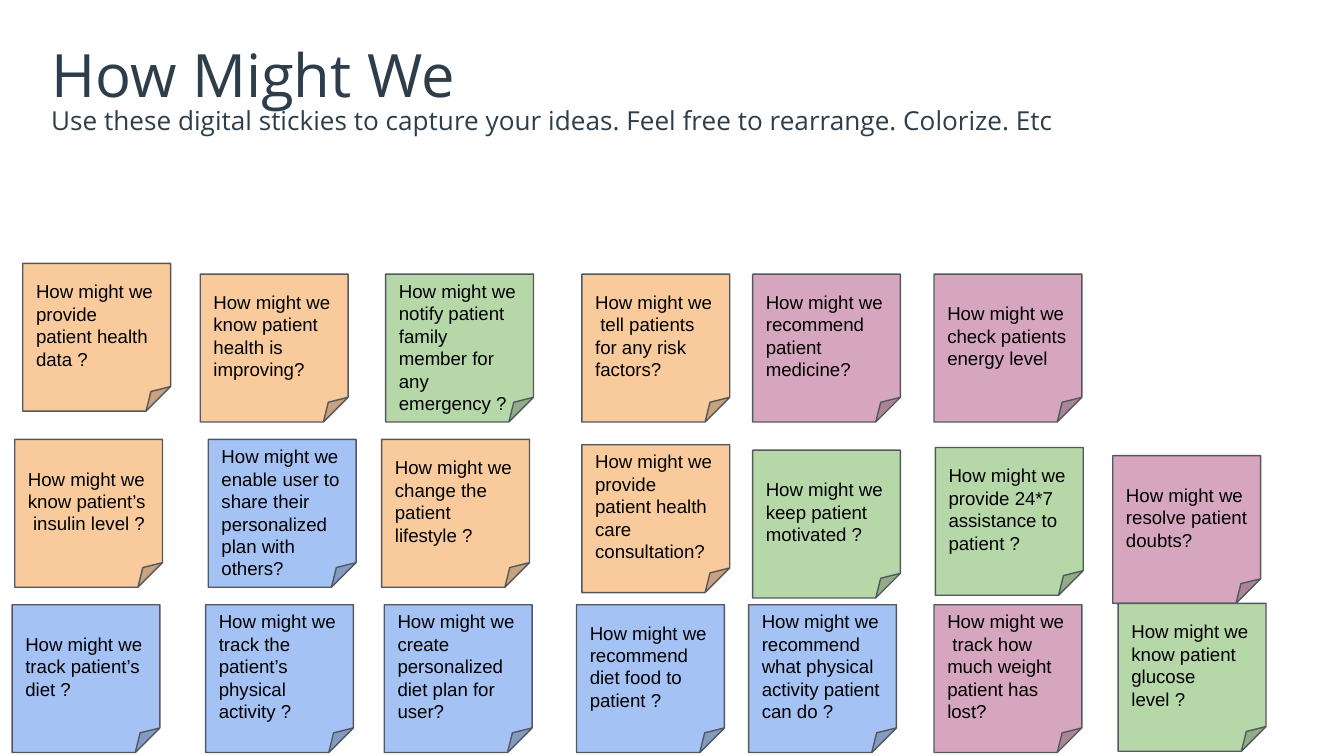
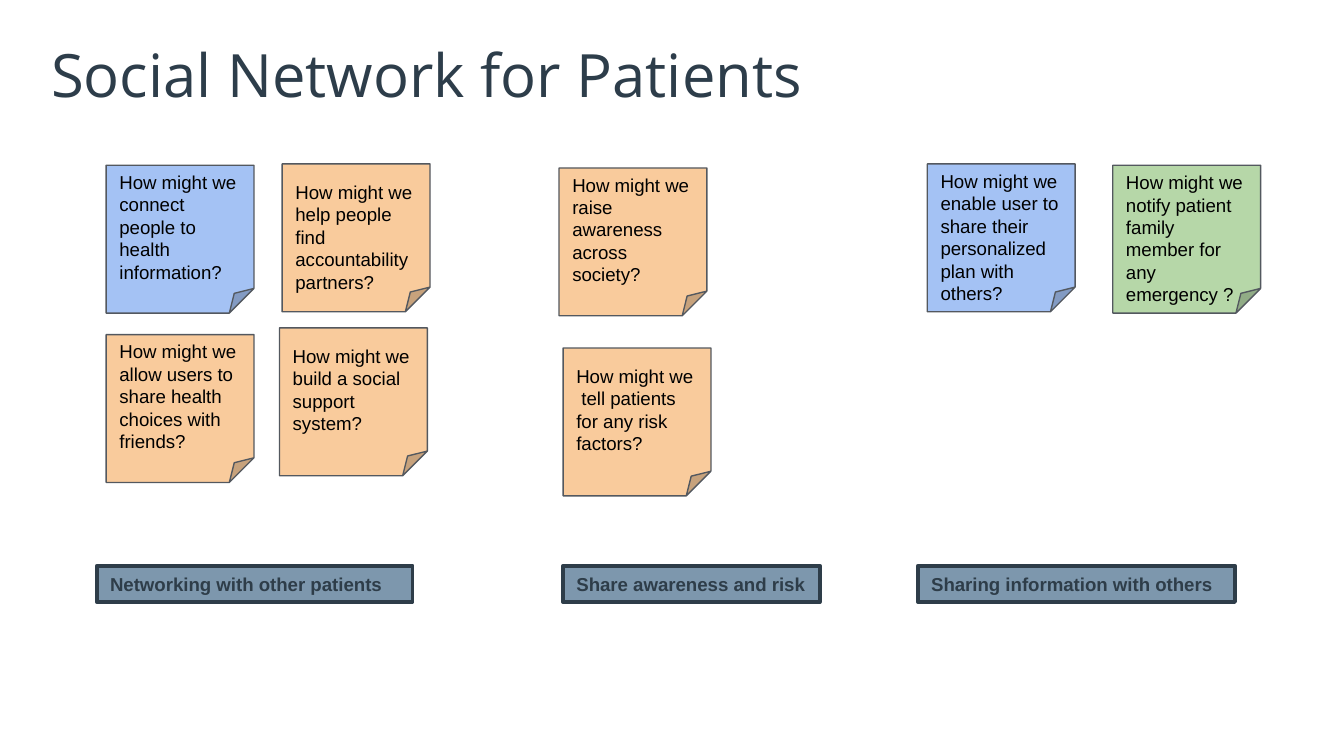
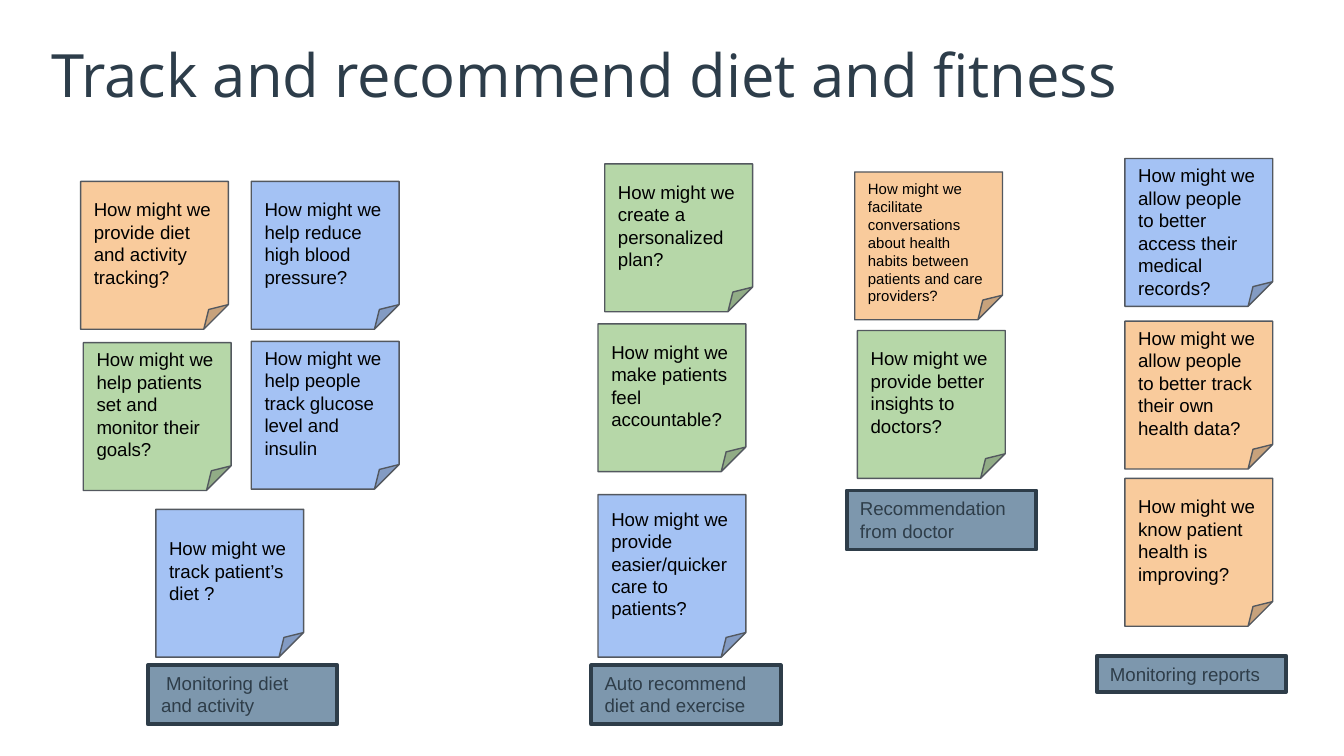
from pptx import Presentation
from pptx.dml.color import RGBColor
from pptx.enum import shapes, text
from pptx.util import Inches, Pt

PEACH = RGBColor(0xF9, 0xCB, 0x9C)
BLUE = RGBColor(0xA4, 0xC2, 0xF4)
GREEN = RGBColor(0xB6, 0xD7, 0xA8)
PINK = RGBColor(0xD5, 0xA6, 0xBD)
EDGE = RGBColor(0x53, 0x58, 0x5F)
STEEL = RGBColor(0x7D, 0x97, 0xAD)
NAVY = RGBColor(0x2E, 0x3D, 0x49)
INK = RGBColor(0x2D, 0x3D, 0x4A)
BLACK = RGBColor(0, 0, 0)
SIDE = 1.1
LINE = 0.17  # height of one line of note text


def write(shape, words, size=10, font="Arial", color=BLACK, bold=False,
          anchor=text.MSO_ANCHOR.TOP, pads=(0.1, 0.05, 0.1, 0.05)):
    """Fill a shape with left-aligned text; pads are left, top, right, bottom."""
    frame = shape.text_frame
    frame.word_wrap = True
    frame.auto_size = text.MSO_AUTO_SIZE.NONE
    frame.vertical_anchor = anchor
    (frame.margin_left, frame.margin_top,
     frame.margin_right, frame.margin_bottom) = map(Inches, pads)
    par = frame.paragraphs[0]
    par.alignment = text.PP_ALIGN.LEFT
    run = par.add_run()
    run.text = words
    run.font.size = Pt(size)
    run.font.name = font
    run.font.bold = bold
    run.font.color.rgb = color


def block(slide, kind, box, fill, edge, width):
    shape = slide.shapes.add_shape(kind, *map(Inches, box))
    shape.shadow.inherit = False
    shape.fill.solid()
    shape.fill.fore_color.rgb = fill
    shape.line.color.rgb = edge
    shape.line.width = Pt(width)
    return shape


def note(slide, left, top, fill, words, drop=0, size=10, high=SIDE):
    """Draw a sticky note; drop lowers its text."""
    shape = block(slide, shapes.MSO_SHAPE.FOLDED_CORNER,
                  (left, top, SIDE, high), fill, EDGE, 0.75)
    write(shape, "How might we " + words, size=size,
          anchor=text.MSO_ANCHOR.MIDDLE, pads=(0.1, 0.1 + drop, 0.1, 0.1))


def label(slide, left, top, wide, words, rows=1, bold=False):
    shape = block(slide, shapes.MSO_SHAPE.RECTANGLE,
                  (left, top, wide, 0.1 + LINE * rows), STEEL, NAVY, 2)
    write(shape, words, color=NAVY, bold=bold)
    shape.text_frame.auto_size = text.MSO_AUTO_SIZE.SHAPE_TO_FIT_TEXT


def cluster(slide, left, top, notes, tag=None, **style):
    """Place notes, and a label if given, by their offsets from left and top."""
    for dx, dy, fill, words, *more in notes:
        note(slide, left + dx, top + dy, fill, words, *more)
    if tag:
        dx, dy, *rest = tag
        label(slide, left + dx, top + dy, *rest, **style)


def heading(shape, words, top, size):
    shape.left, shape.top, shape.width, shape.height = map(
        Inches, (0.34, top, 9.32, 0.63))
    write(shape, words, size=size, font="Open Sans", color=INK, pads=[0.04] * 4)


def page(deck, title):
    slide = deck.slides.add_slide(deck.slide_layouts.get_by_name("Title Only"))
    heading(slide.shapes.title, title, 0.24, 32)
    return slide


def ideas(deck):
    slide = page(deck, "How Might We")
    cluster(slide, 0.17, 1.96, [
        (0, 0, PEACH, "provide patient health data ?"),
        (1.32, 0.08, PEACH, "know patient health is improving?"),
        (2.7, 0.08, GREEN,
         "notify patient family member for any emergency ?", LINE),
        (4.16, 0.08, PEACH, " tell patients for any risk factors?"),
        (5.43, 0.08, PINK, "recommend patient medicine?"),
        (6.78, 0.08, PINK, "check patients energy level"),
    ])
    cluster(slide, 0.11, 3.27, [
        (0, 0, PEACH, "know patient’s  insulin level ?"),
        (1.44, 0, BLUE,
         "enable user to share their personalized plan with others?", LINE),
        (2.73, 0, PEACH, "change the patient lifestyle ?"),
        (4.22, 0.04, PEACH, "provide patient health care consultation?"),
        (5.49, 0.08, GREEN, "keep patient motivated ?"),
        (6.85, 0.06, GREEN, "provide 24*7 assistance to patient ?"),
        (8.17, 0.12, PINK, "resolve patient doubts?"),
    ])
    cluster(slide, 0.09, 4.5, [
        (0, 0, BLUE, "track patient’s diet ?"),
        (1.44, 0, BLUE, "track the patient’s physical activity ?"),
        (2.77, 0, BLUE, "create personalized diet plan for user?"),
        (4.2, 0, BLUE, "recommend diet food to patient ?"),
        (5.48, 0, BLUE, "recommend what physical activity patient can do ?"),
        (6.86, 0, PINK, " track how much weight patient has lost?"),
        (8.23, -0.01, GREEN, "know patient glucose level ?"),
    ])
    sub = slide.shapes.add_textbox(0, 0, 0, 0)
    heading(sub, "Use these digital stickies to capture your ideas. "
            "Feel free to rearrange. Colorize. Etc", 0.74, 14)


def social(deck):
    slide = page(deck, "Social Network for Patients")
    cluster(slide, 0.72, 1.22, [
        (0.07, 0.01, BLUE, "connect people to health information?"),
        (0.07, 1.27, PEACH, "allow users to share health choices with friends?"),
        (1.38, 0, PEACH, "help people find accountability partners?", LINE),
        (1.36, 1.22, PEACH, "build a social support system?"),
    ], (0, 2.99, 2.35, "Networking with other patients"), bold=True)
    cluster(slide, 4.16, 1.22, [
        (0, 0.03, PEACH, "raise awareness across society?"),
        (0.03, 1.37, PEACH, " tell patients for any risk factors?"),
    ], (0.03, 2.99, 1.91, "Share awareness and risk"), bold=True)
    cluster(slide, 6.83, 1.22, [
        (0.07, 0, BLUE,
         "enable user to share their personalized plan with others?", LINE),
        (1.45, 0.01, GREEN,
         "notify patient family member for any emergency ?", LINE),
    ], (0, 2.99, 2.36, "Sharing information with others"), bold=True)


def fitness(deck):
    slide = page(deck, "Track and recommend diet and fitness")
    wide = 1.41
    cluster(slide, 0.6, 1.35, [
        (0, 0, PEACH, "provide diet and activity tracking?"),
        (0.02, 1.2, GREEN, "help patients set and monitor their goals?"),
        (1.27, 0, BLUE, "help reduce high blood pressure?"),
        (1.27, 1.19, BLUE, "help people track glucose level and insulin"),
        (0.56, 2.44, BLUE, "track patient’s diet ?"),
    ], (0.5, 3.6, wide, " Monitoring diet and activity", 2))
    cluster(slide, 4.4, 1.22, [
        (0.1, 0, GREEN, "create a personalized plan?"),
        (0.05, 1.19, GREEN, "make patients feel accountable?"),
        (0.05, 2.46, BLUE, "provide easier/quicker care to patients?",
         0, 10, 1.21),
    ], (0, 3.73, wide, "Auto recommend diet and exercise", 2))
    cluster(slide, 6.3, 1.28, [
        (0.06, 0, PEACH, "facilitate conversations about health habits "
         "between patients and care providers?", 0.13, 8),
        (0.08, 1.18, GREEN, "provide better insights to doctors?"),
    ], (0, 2.37, wide, "Recommendation from doctor", 2))
    cluster(slide, 8.16, 1.18, [
        (0.21, 0, BLUE,
         "allow people to better access their medical records?", LINE),
        (0.21, 1.21, PEACH,
         "allow people to better track their own health data?"),
        (0.21, 2.38, PEACH, "know patient health is improving?"),
    ], (0, 3.7, wide, "Monitoring reports"))


def main():
    deck = Presentation()
    deck.slide_width = Inches(10)
    deck.slide_height = deck.slide_width * 9 // 16
    for build in (ideas, social, fitness):
        build(deck)
    deck.save("out.pptx")


if __name__ == "__main__":
    main()
